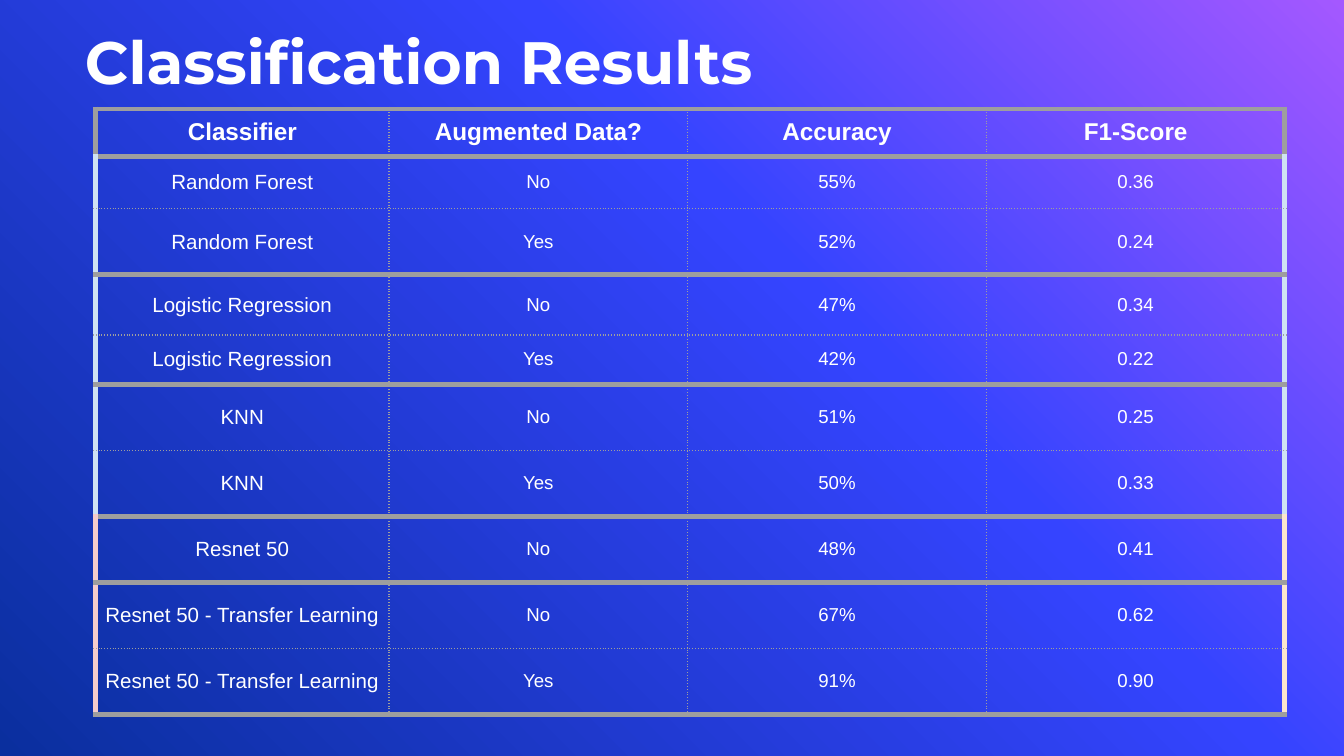
from lxml import etree
from pptx import Presentation
from pptx.dml.color import RGBColor
from pptx.enum.text import MSO_ANCHOR, PP_ALIGN
from pptx.oxml import parse_xml
from pptx.oxml.ns import nsdecls, qn
from pptx.util import Pt

WHITE = RGBColor(0xFF, 0xFF, 0xFF)
GRAY = RGBColor(0x9E, 0x9E, 0x9E)
PALE_BLUE = RGBColor(0xCF, 0xE2, 0xF3)
PALE_RED = RGBColor(0xF4, 0xCC, 0xCC)
PALE_ORANGE = RGBColor(0xFC, 0xE5, 0xCD)
PURPLE = RGBColor(0xA4, 0x58, 0xFF)
BLUE = RGBColor(0x35, 0x44, 0xFF)
NAVY = RGBColor(0x0A, 0x2F, 0x9E)

HEADER = ("Classifier", "Augmented Data?", "Accuracy", "F1-Score")
RESULTS = [
    ("Random Forest", "No", "55%", "0.36"),
    ("Random Forest", "Yes", "52%", "0.24"),
    ("Logistic Regression", "No", "47%", "0.34"),
    ("Logistic Regression", "Yes", "42%", "0.22"),
    ("KNN", "No", "51%", "0.25"),
    ("KNN", "Yes", "50%", "0.33"),
    ("Resnet 50", "No", "48%", "0.41"),
    ("Resnet 50 - Transfer Learning", "No", "67%", "0.62"),
    ("Resnet 50 - Transfer Learning", "Yes", "91%", "0.90"),
]
COL_WIDTHS = (157.2, 160, 160, 160)
ROW_HEIGHTS = (25.2, 28.3, 35.4, 32.2, 26.4) + (35.4,) * 5
THICK = (3, "solid")
DOTTED = (0.75, "dot")


def paint_background(s):
    """Fill the slide with a diagonal three-colour gradient."""
    fill = s.background.fill
    fill.gradient()
    fill.gradient_angle = 225
    stops = s.background._cSld.find(".//" + qn("a:gsLst"))
    for stop in list(stops):
        stops.remove(stop)
    for position, color in ((0, PURPLE), (39, BLUE), (100, NAVY)):
        stop = etree.SubElement(stops, qn("a:gs"), pos=str(position * 1000))
        etree.SubElement(stop, qn("a:srgbClr"), val=str(color))


def format_text(tf, size, font, bold):
    """Format the text of a frame in white."""
    for p in tf.paragraphs:
        for r in p.runs:
            r.font.size = Pt(size)
            r.font.name = font
            r.font.bold = bold
            r.font.color.rgb = WHITE


def add_title(s, left, top, width, height):
    """Place the title at the bottom of its box."""
    tf = s.shapes.add_textbox(Pt(left), Pt(top), Pt(width), Pt(height)).text_frame
    tf.margin_left = tf.margin_top = tf.margin_right = tf.margin_bottom = 0
    tf.word_wrap = True
    tf.vertical_anchor = MSO_ANCHOR.BOTTOM
    tf.text = "Classification Results"
    format_text(tf, 32, "Montserrat", True)


def set_border(cell, side, color, line):
    """Draw one side of a cell; sides go in the order L, R, T, B."""
    width, dash = line
    cell._tc.get_or_add_tcPr().append(parse_xml(
        f'<a:ln{side} {nsdecls("a")} w="{Pt(width)}"><a:solidFill>'
        f'<a:srgbClr val="{color}"/></a:solidFill>'
        f'<a:prstDash val="{dash}"/></a:ln{side}>'))


def edge_colors(row):
    """Return the left and right outer border colours of a row."""
    if row == 0:
        return GRAY, GRAY
    if RESULTS[row - 1][0].startswith("Resnet"):
        return PALE_RED, PALE_ORANGE
    return PALE_BLUE, PALE_BLUE


def add_results_table(s, left, top, width, height):
    """Place the results table, with a thick rule between classifiers."""
    rows = [HEADER] + RESULTS
    table = s.shapes.add_table(len(rows), len(HEADER), Pt(left), Pt(top),
                               Pt(width), Pt(height)).table
    table.first_row = table.horz_banding = False
    for column, column_width in zip(table.columns, COL_WIDTHS):
        column.width = Pt(column_width)
    for row, row_height in zip(table.rows, ROW_HEIGHTS):
        row.height = Pt(row_height)

    names = [None] + [row[0] for row in rows] + [None]
    rules = [DOTTED if a == b else THICK for a, b in zip(names, names[1:])]
    last = len(HEADER) - 1
    for i, row in enumerate(rows):
        left_color, right_color = edge_colors(i)
        for j, text in enumerate(row):
            cell = table.cell(i, j)
            cell.margin_left = cell.margin_right = 0
            cell.margin_top = cell.margin_bottom = 0
            cell.vertical_anchor = MSO_ANCHOR.MIDDLE
            cell.text_frame.text = text
            cell.text_frame.paragraphs[0].alignment = PP_ALIGN.CENTER
            size = 13 if i == 0 else 11 if j == 0 else 10
            format_text(cell.text_frame, size, "Arial", i == 0)
            set_border(cell, "L", *((left_color, THICK) if j == 0 else (GRAY, DOTTED)))
            set_border(cell, "R", *((right_color, THICK) if j == last else (GRAY, DOTTED)))
            set_border(cell, "T", GRAY, rules[i])
            set_border(cell, "B", GRAY, rules[i + 1])
            cell.fill.background()


def main():
    """Build the slide and save it."""
    prs = Presentation()
    prs.slide_width, prs.slide_height = Pt(720), Pt(405)
    s = prs.slides.add_slide(prs.slide_layouts[6])
    paint_background(s)
    add_title(s, 45.4, 16.6, 473.8, 35.3)
    add_results_table(s, 51.2, 58.4, sum(COL_WIDTHS), sum(ROW_HEIGHTS))
    prs.save("out.pptx")


if __name__ == "__main__":
    main()
